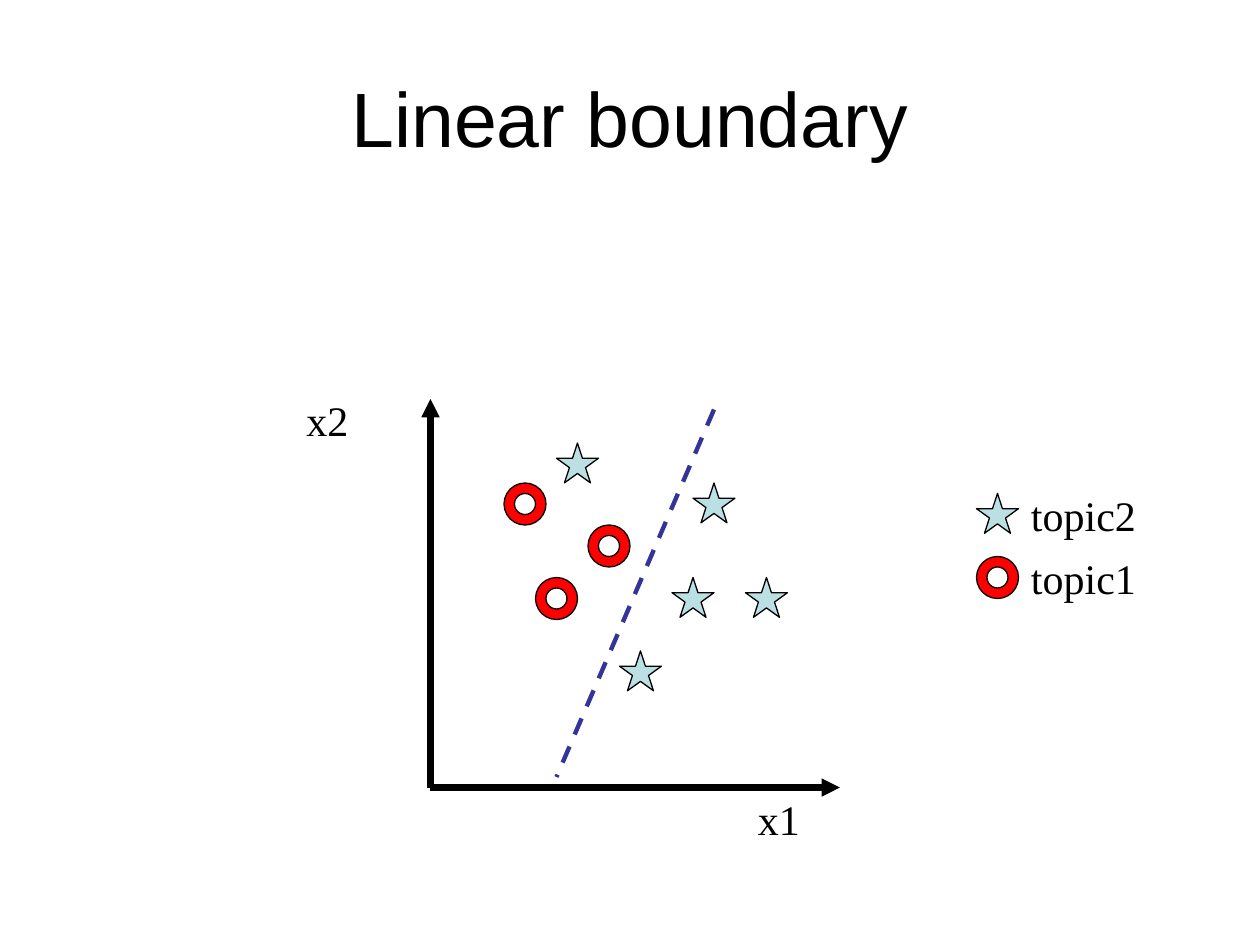
from dataclasses import dataclass

from lxml import etree
from pptx import Presentation
from pptx.dml.color import RGBColor
from pptx.enum.dml import MSO_LINE
from pptx.enum.shapes import MSO_CONNECTOR, MSO_SHAPE
from pptx.enum.text import MSO_ANCHOR, MSO_AUTO_SIZE, PP_ALIGN
from pptx.oxml.ns import qn
from pptx.util import Inches, Pt

STAR = MSO_SHAPE.STAR_5_POINT
RING = MSO_SHAPE.DONUT
STRAIGHT = MSO_CONNECTOR.STRAIGHT
DASH = MSO_LINE.DASH
CENTER = PP_ALIGN.CENTER
MIDDLE = MSO_ANCHOR.MIDDLE
FIT_SHAPE = MSO_AUTO_SIZE.SHAPE_TO_FIT_TEXT
TITLE_ONLY = 5
CELL = Inches(1) / 12


@dataclass(frozen=True)
class Theme:
    ink: RGBColor = RGBColor(0x00, 0x00, 0x00)
    star: RGBColor = RGBColor(0xBB, 0xE0, 0xE3)
    ring: RGBColor = RGBColor(0xFF, 0x00, 0x00)
    boundary: RGBColor = RGBColor(0x33, 0x33, 0x99)
    title_font: str = "Arial"
    label_font: str = "Times New Roman"
    title_size: int = 44
    label_size: int = 24
    axis_width: float = 3.5
    boundary_width: float = 2.5
    outline_width: float = 0.75


THEME = Theme()
ORIGIN = (41, 75)
AXIS_ENDS = [(41, 38), (80, 75)]
BOUNDARY = ((68, 39), (53, 74))
STARS = [(53, 42.2), (64, 55), (71, 55), (66, 46), (59, 62), (93, 47)]
RINGS = [(93, 53), (56, 50), (51, 55), (48, 46)]
LABELS = [("x1", 71, 75, 6.4), ("x2", 28, 37, 6.4),
          ("topic2", 97, 46, 12.4), ("topic1", 97, 52, 12.4)]


def grid(*cells):
    return [round(c * CELL) for c in cells]


def apply(target, values):
    for name, value in values.items():
        setattr(target, name, value)


def write(p, text, font, size):
    r = p.add_run()
    r.text = text
    apply(r.font, {"name": font, "size": Pt(size)})
    r.font.color.rgb = THEME.ink


def add_title(s, prs, text):
    sp = s.shapes.title
    w, h = prs.slide_width, prs.slide_height
    apply(sp, {"left": round(w * 0.05), "top": round(h * 0.04),
               "width": round(w * 0.9), "height": round(h / 6)})
    tf = sp.text_frame
    tf.vertical_anchor = MIDDLE
    p = tf.paragraphs[0]
    p.alignment = CENTER
    write(p, text, THEME.title_font, THEME.title_size)


def add_line(s, start, end, color, width, dash=None, arrow=False):
    line = s.shapes.add_connector(STRAIGHT, *grid(*start, *end))
    line.line.color.rgb = color
    apply(line.line, {"width": Pt(width), "dash_style": dash})
    pr = line._element.spPr
    if arrow:
        etree.SubElement(pr.find(qn("a:ln")), qn("a:tailEnd"), type="triangle")
    etree.SubElement(pr, qn("a:effectLst"))


def add_marker(s, kind, col, row, height, fill):
    sp = s.shapes.add_shape(kind, *grid(col, row, 4, height))
    sp.shadow.inherit = False
    sp.fill.solid()
    sp.fill.fore_color.rgb = fill
    sp.line.color.rgb = THEME.ink
    sp.line.width = Pt(THEME.outline_width)


def add_label(s, text, col, row, width):
    tf = s.shapes.add_textbox(*grid(col, row, width, 6)).text_frame
    apply(tf, {"word_wrap": False, "auto_size": FIT_SHAPE})
    write(tf.paragraphs[0], text, THEME.label_font, THEME.label_size)


def main():
    prs = Presentation()
    apply(prs, {"slide_width": Inches(10), "slide_height": Inches(7.5)})
    s = prs.slides.add_slide(prs.slide_layouts[TITLE_ONLY])
    add_title(s, prs, "Linear boundary")
    for end in AXIS_ENDS:
        add_line(s, ORIGIN, end, THEME.ink, THEME.axis_width, arrow=True)
    for col, row in STARS:
        add_marker(s, STAR, col, row, 3.8, THEME.star)
    for col, row in RINGS:
        add_marker(s, RING, col, row, 4, THEME.ring)
    add_line(s, *BOUNDARY, THEME.boundary, THEME.boundary_width, dash=DASH)
    for label in LABELS:
        add_label(s, *label)
    prs.save("out.pptx")


if __name__ == "__main__":
    main()
